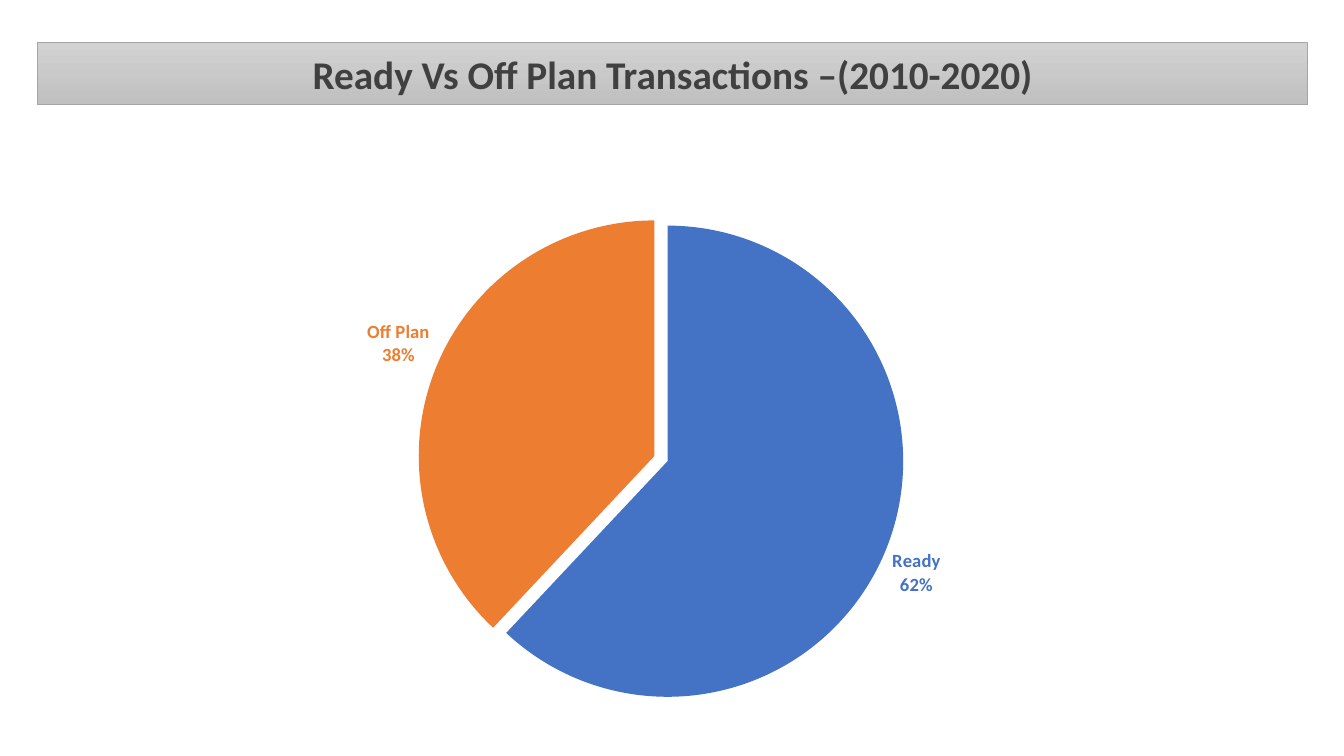
from lxml import etree
from pptx import Presentation
from pptx.chart.data import CategoryChartData
from pptx.dml.color import RGBColor
from pptx.enum.chart import XL_CHART_TYPE, XL_LABEL_POSITION
from pptx.enum.text import MSO_ANCHOR, PP_ALIGN
from pptx.oxml import parse_xml
from pptx.oxml.ns import nsdecls, qn
from pptx.util import Inches, Pt

PIE = XL_CHART_TYPE.PIE
OUTSIDE_END = XL_LABEL_POSITION.OUTSIDE_END
MIDDLE = MSO_ANCHOR.MIDDLE
CENTER = PP_ALIGN.CENTER

# Content
TITLE = "Ready Vs Off Plan Transactions –(2010-2020)"
SLICES = [("Ready", 62, "ready"), ("Off Plan", 38, "off_plan")]
COLORS = {
    "ready": "4472C4",
    "off_plan": "ED7D31",
    "title": "404040",
    "banner_top": "D2D2D2",
    "banner_bottom": "C0C0C0",
    "banner_line": "A5A5A5",
    "text": "000000",
}
FONT = "Calibri"
EXPLOSION = 3
PLOT_LAYOUT = {"x": 0.008, "y": 0.186, "w": 0.966, "h": 0.812}

# Geometry in inches
LEFT, WIDTH = 0.37, 12.6
BANNER_TOP, BANNER_HEIGHT = 0.42, 0.62
CHART_TOP, CHART_HEIGHT = BANNER_TOP + BANNER_HEIGHT, 5.93


def color(name):
    return RGBColor.from_string(COLORS[name])


def format_font(font, size, color_name, bold=False):
    font.name = FONT
    font.size = Pt(size)
    font.bold = bold
    font.color.rgb = color(color_name)


def write_text(shape, text, size, color_name, bold=False, align=CENTER):
    frame = shape.text_frame
    frame.word_wrap = True
    frame.vertical_anchor = MIDDLE
    paragraph = frame.paragraphs[0]
    paragraph.alignment = align
    run = paragraph.add_run()
    run.text = text
    format_font(run.font, size, color_name, bold)


def place_plot(chart):
    """Fix the inner plot area as fractions of the chart."""
    plot_area = chart._chartSpace.chart.plotArea
    for layout in plot_area.findall(qn("c:layout")):
        plot_area.remove(layout)
    modes = '<c:layoutTarget val="inner"/><c:xMode val="edge"/><c:yMode val="edge"/>'
    sizes = "".join(f'<c:{key} val="{value}"/>' for key, value in PLOT_LAYOUT.items())
    plot_area.insert(0, parse_xml(
        f'<c:layout {nsdecls("c")}><c:manualLayout>{modes}{sizes}</c:manualLayout></c:layout>'))


def format_slice(series, index, color_name):
    point = series.points[index]
    point.format.fill.solid()
    point.format.fill.fore_color.rgb = color(color_name)
    label = point.data_label
    format_font(label.font, 13.3, color_name, bold=True)
    label.position = OUTSIDE_END

    # Category name above percentage
    element = series._element.xpath(f"c:dLbls/c:dLbl[c:idx/@val='{index}']")[0]
    for tag, shown in (("showVal", "0"), ("showCatName", "1"), ("showPercent", "1")):
        element.find(qn(f"c:{tag}")).set("val", shown)
    separator = etree.SubElement(element, qn("c:separator"))
    separator.text = "\n"


presentation = Presentation()
presentation.slide_width = Inches(13.33)
presentation.slide_height = Inches(7.5)
slide = presentation.slides.add_slide(presentation.slide_layouts[5])

# Pie chart
chart_data = CategoryChartData()
chart_data.categories = [name for name, _, _ in SLICES]
chart_data.add_series("Series 1", [value for _, value, _ in SLICES])
chart = slide.shapes.add_chart(
    PIE, Inches(LEFT), Inches(CHART_TOP), Inches(WIDTH), Inches(CHART_HEIGHT), chart_data
).chart
chart.has_title = False
chart.has_legend = False
format_font(chart.font, 10, "text")
place_plot(chart)
pie = chart.plots[0]
pie.vary_by_categories = True
series = pie.series[0]
for index, (_, _, color_name) in enumerate(SLICES):
    format_slice(series, index, color_name)
explosion = parse_xml(f'<c:explosion {nsdecls("c")} val="{EXPLOSION}"/>')
series._element.find(qn("c:dPt")).addprevious(explosion)

# Title banner
banner = slide.shapes.title
banner.left, banner.top = Inches(LEFT), Inches(BANNER_TOP)
banner.width, banner.height = Inches(WIDTH), Inches(BANNER_HEIGHT)
banner.fill.gradient()
banner.fill.gradient_angle = 270
for stop, position, name in zip(
        banner.fill.gradient_stops, (0, 1), ("banner_top", "banner_bottom")):
    stop.position = position
    stop.color.rgb = color(name)
banner.line.color.rgb = color("banner_line")
banner.line.width = Pt(0.5)
write_text(banner, TITLE, 28, "title", bold=True)

presentation.save("out.pptx")
